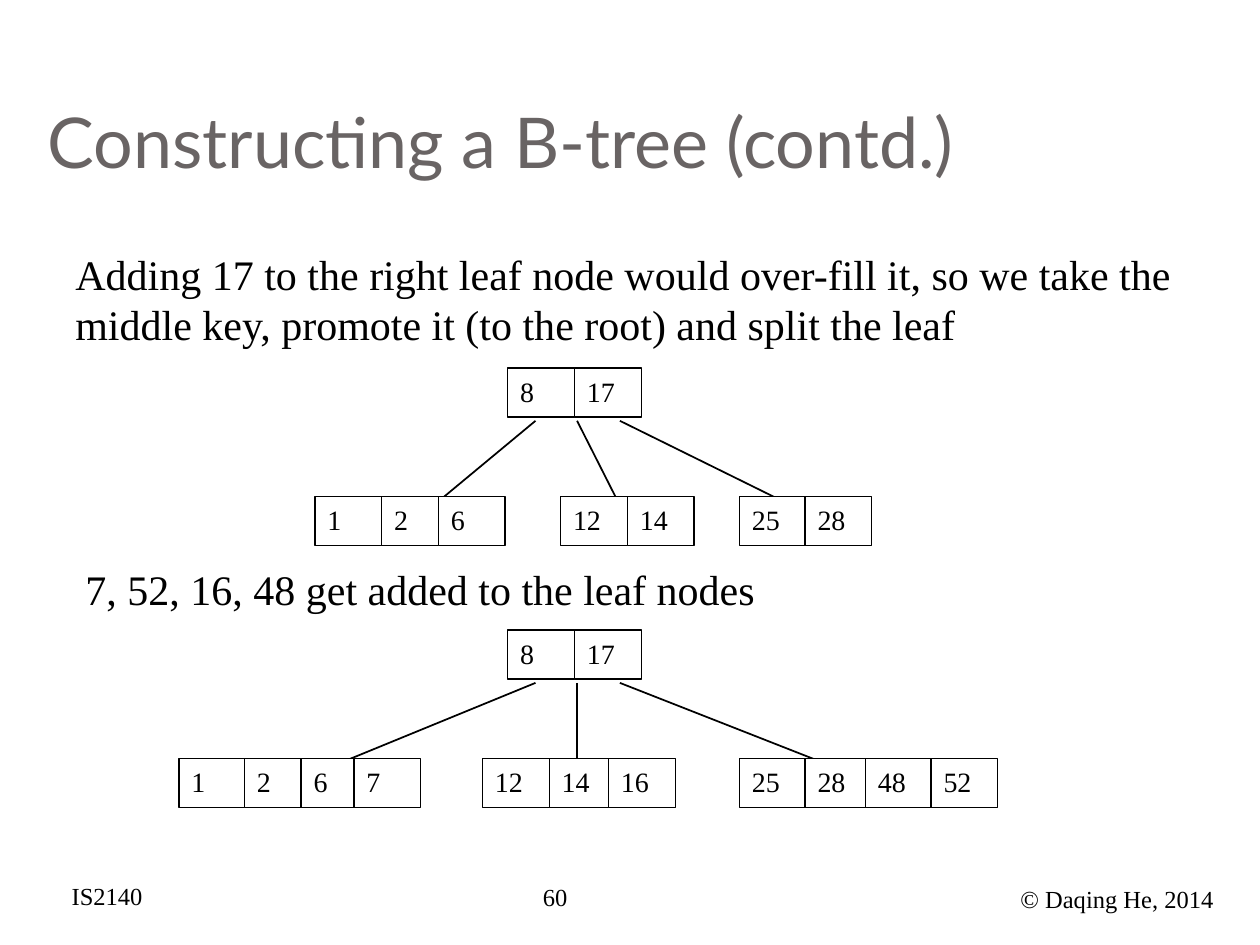
import dataclasses

import lxml.etree
import pptx
import pptx.dml.color
import pptx.enum.shapes
import pptx.enum.text
import pptx.oxml.ns
import pptx.util

Inches = pptx.util.Inches
Pt = pptx.util.Pt


@dataclasses.dataclass(frozen=True)
class Theme:
    ink: str = "000000"
    gray: str = "696464"
    paper: str = "FFFFFF"
    head: str = "Lato"
    body: str = "Times New Roman"
    title: float = 40
    text: float = 24
    key: float = 16
    foot: float = 14
    edge: float = 0.75
    link: float = 1


THEME = Theme()
WIDE, HIGH = 0.53, 0.39
DROP = 1.02
PORTS = (4.25, 4.58, 4.92)
ROOT = [(4.03, "8"), (4.56, "17")]

FIRST = [
    [(2.5, "1"), (3.03, "2"), (3.48, "6")],
    [(4.45, "12"), (4.98, "14")],
    [(5.87, "25"), (6.39, "28")],
]
FIRST_ENDS = [(3.25, 1.25), (5, 1.25), (6.42, 1.16)]

SECOND = [
    [(1.42, "1"), (1.94, "2"), (2.39, "6"), (2.81, "7")],
    [(3.83, "12"), (4.36, "14"), (4.83, "16")],
    [(5.87, "25"), (6.39, "28"), (6.87, "48"), (7.39, "52")],
]
SECOND_ENDS = [(2.42, 1.17), (4.58, 1.25), (6.83, 1.17)]


def color(code):
    return pptx.dml.color.RGBColor.from_string(code)


def write(shape, text, *, size, font=THEME.body, ink=THEME.ink,
          anchor=pptx.enum.text.MSO_ANCHOR.TOP, foot=0.05):
    frame = shape.text_frame
    frame.word_wrap = True
    frame.vertical_anchor = anchor
    frame.margin_left = frame.margin_right = Inches(0.1)
    frame.margin_top = Inches(0.05)
    frame.margin_bottom = Inches(foot)
    para = frame.paragraphs[0]
    para.alignment = pptx.enum.text.PP_ALIGN.LEFT
    run = para.add_run()
    run.text = text
    run.font.size = Pt(size)
    run.font.name = font
    run.font.color.rgb = color(ink)


def label(slide, box, text, **form):
    shape = slide.shapes.add_textbox(*map(Inches, box))
    write(shape, text, **form)


def cell(slide, left, top, key):
    shape = slide.shapes.add_shape(
        pptx.enum.shapes.MSO_SHAPE.RECTANGLE,
        *map(Inches, (left, top, WIDE, HIGH)))
    shape.shadow.inherit = False
    shape.fill.solid()
    shape.fill.fore_color.rgb = color(THEME.paper)
    shape.line.color.rgb = color(THEME.ink)
    shape.line.width = Pt(THEME.edge)
    write(shape, key, size=THEME.key)


def link(slide, start, end):
    line = slide.shapes.add_connector(
        pptx.enum.shapes.MSO_CONNECTOR.STRAIGHT, *map(Inches, start + end))
    line.line.color.rgb = color(THEME.ink)
    line.line.width = Pt(THEME.link)
    lxml.etree.SubElement(
        line.element.spPr, pptx.oxml.ns.qn("a:effectLst"))


def tree(slide, top, leaves, ends):
    for port, (left, drop) in zip(PORTS, ends):
        link(slide, (port, top + 0.42), (left, top + drop))
    for left, key in ROOT:
        cell(slide, left, top, key)
    for leaf in leaves:
        for left, key in leaf:
            cell(slide, left, top + DROP, key)


def main():
    deck = pptx.Presentation()
    deck.slide_width, deck.slide_height = Inches(10), Inches(7.5)
    slide = deck.slides.add_slide(deck.slide_layouts[6])

    label(slide, (4.21, 6.95, 1.17, 0.37), "60", size=THEME.foot)
    label(slide, (0.47, 6.94, 0.81, 0.34), "IS2140", size=THEME.foot)
    label(slide, (8, 6.97, 1.92, 0.34), "© Daqing He, 2014", size=THEME.foot)
    label(slide, (0.28, 0.3, 9.51, 1.25), "Constructing a B-tree (contd.)",
          size=THEME.title, font=THEME.head, ink=THEME.gray,
          anchor=pptx.enum.text.MSO_ANCHOR.BOTTOM, foot=0.1)

    label(slide, (0.5, 1.92, 9.17, 0.9),
          "Adding 17 to the right leaf node would over-fill it, so we take "
          "the middle key, promote it (to the root) and split the leaf",
          size=THEME.text)
    tree(slide, 2.92, FIRST, FIRST_ENDS)
    label(slide, (0.58, 4.42, 9, 0.5),
          "7, 52, 16, 48 get added to the leaf nodes", size=THEME.text)
    tree(slide, 5, SECOND, SECOND_ENDS)

    deck.save("out.pptx")


if __name__ == "__main__":
    main()
